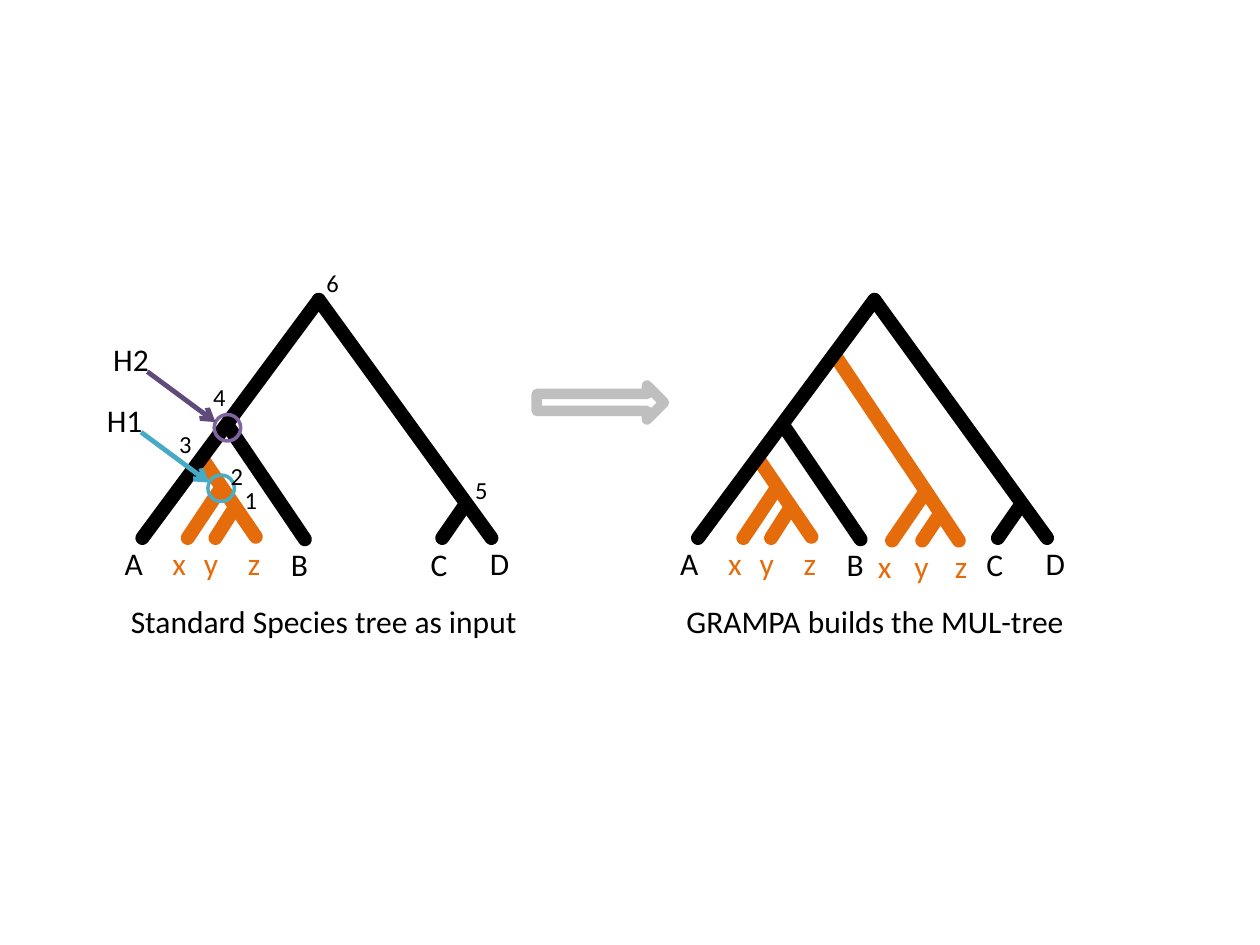
from dataclasses import dataclass

from lxml.etree import SubElement
from pptx import Presentation
from pptx.dml.color import RGBColor
from pptx.enum.shapes import MSO_CONNECTOR, MSO_SHAPE
from pptx.enum.text import MSO_AUTO_SIZE
from pptx.oxml.ns import qn
from pptx.util import Inches, Pt


@dataclass(frozen=True)
class Theme:
    font: str = "Calibri"
    black: str = "000000"
    white: str = "FFFFFF"
    orange: str = "E46C0A"
    gray: str = "BFBFBF"
    teal: str = "4BACC6"
    teal_dark: str = "46AAC5"
    plum: str = "8064A2"
    plum_dark: str = "604A7B"
    label: float = 18
    node: float = 14
    branch: float = 8
    ring: float = 2
    point: float = 2.75
    block: float = 6


THEME = Theme()


def apply(target, values):
    for name, value in values.items():
        setattr(target, name, value)


def paint(line, color, width):
    line.color.rgb = RGBColor.from_string(color)
    line.width = Pt(width)


def add_line(slide, start, end, color, width, tip=False):
    ends = [Inches(v) for v in (*start, *end)]
    line = slide.shapes.add_connector(MSO_CONNECTOR.STRAIGHT, *ends)
    paint(line.line, color, width)
    props = line.element.spPr
    pen = props.find(qn("a:ln"))
    if tip:
        SubElement(pen, qn("a:tailEnd"), type="arrow")
    else:
        pen.set("cap", "rnd")
    SubElement(props, qn("a:effectLst"))


def add_text(slide, box, text, size=THEME.label, color=THEME.black):
    frame = slide.shapes.add_textbox(*[Inches(v) for v in box]).text_frame
    apply(frame, {"word_wrap": True, "auto_size": MSO_AUTO_SIZE.SHAPE_TO_FIT_TEXT})
    run = frame.paragraphs[0].add_run()
    run.text = text
    apply(run.font, {"name": THEME.font, "size": Pt(size)})
    run.font.color.rgb = RGBColor.from_string(color)


def add_shape(slide, kind, box, color, width, fill=None):
    shape = slide.shapes.add_shape(kind, *[Inches(v) for v in box])
    shape.shadow.inherit = False
    if fill:
        shape.fill.solid()
        shape.fill.fore_color.rgb = RGBColor.from_string(fill)
    else:
        shape.fill.background()
    paint(shape.line, color, width)


def add_limbs(slide, box, limbs, color):
    left, top = box
    for x1, y1, x2, y2 in limbs:
        add_line(slide, (left + x1, top + y1), (left + x2, top + y2), color, THEME.branch)


def add_names(slide, box, names, color):
    left, top = box
    for text, x, y, width in names:
        add_text(slide, (left + x, top + y, width, 0.4), text, color=color)


def draw_tree(slide, box, title):
    left, top = box
    add_limbs(slide, box, [(0.73, 1.28, 1.14, 1.88)], THEME.orange)
    add_limbs(slide, box, [
        (1.64, 0, 0.24, 1.89),
        (1.64, 0, 3.01, 1.89),
        (0.92, 1, 1.53, 1.9),
        (2.8, 1.63, 2.62, 1.89),
    ], THEME.black)
    add_limbs(slide, box, [(0.86, 1.5, 0.6, 1.89), (0.96, 1.67, 0.82, 1.89)], THEME.orange)
    add_names(slide, box, [
        ("A", 0, 1.89, 0.22),
        ("B", 1.32, 1.9, 0.22),
        ("C", 2.43, 1.9, 0.22),
        ("D", 2.9, 1.89, 0.22),
    ], THEME.black)
    add_names(slide, box, [
        ("x", 0.38, 1.89, 0.42),
        ("y", 0.63, 1.89, 0.42),
        ("z", 0.98, 1.89, 0.36),
    ], THEME.orange)
    add_text(slide, (left + 0.05, top + 2.35, 3.47, 0.4), title)


def draw_clade(slide, box):
    add_limbs(slide, box, [
        (0, 0, 0.97, 1.45),
        (0.7, 1.07, 0.44, 1.45),
        (0.82, 1.24, 0.68, 1.45),
    ], THEME.orange)
    add_names(slide, box, [
        ("x", 0.23, 1.45, 0.46),
        ("y", 0.52, 1.45, 0.53),
        ("z", 0.84, 1.45, 0.65),
    ], THEME.orange)


def draw_mark(slide, box, text, ring, arrow):
    left, top = box
    add_shape(slide, MSO_SHAPE.OVAL, (left + 0.9, top + 0.64, 0.21, 0.21), ring, THEME.ring)
    add_text(slide, (left, top, 0.51, 0.4), text)
    add_line(slide, (left + 0.37, top + 0.3), (left + 0.91, top + 0.7),
             arrow, THEME.point, tip=True)


def draw_nodes(slide, box):
    left, top = box
    spots = [(0.99, 1.42), (0.88, 1.23), (0.47, 0.98), (0.74, 0.6), (2.82, 1.34), (1.64, -0.3)]
    for count, (x, y) in enumerate(spots, 1):
        add_text(slide, (left + x, top + y, 0.16, 0.34), str(count), THEME.node)


def main():
    deck = Presentation()
    apply(deck, {"slide_width": Inches(10), "slide_height": Inches(7.5)})
    slide = deck.slides.add_slide(deck.slide_layouts[6])
    source, result = (0.89, 2.38), (5.3, 2.38)
    draw_clade(slide, (6.64, 2.84))
    draw_tree(slide, result, "GRAMPA builds the MUL-tree")
    draw_tree(slide, source, "Standard Species tree as input")
    draw_mark(slide, (0.75, 3.13), "H1", THEME.teal, THEME.teal_dark)
    draw_mark(slide, (0.8, 2.65), "H2", THEME.plum, THEME.plum_dark)
    add_shape(slide, MSO_SHAPE.RIGHT_ARROW, (4.26, 3.06, 1.01, 0.27),
              THEME.gray, THEME.block, THEME.white)
    draw_nodes(slide, source)
    deck.save("out.pptx")


if __name__ == "__main__":
    main()
